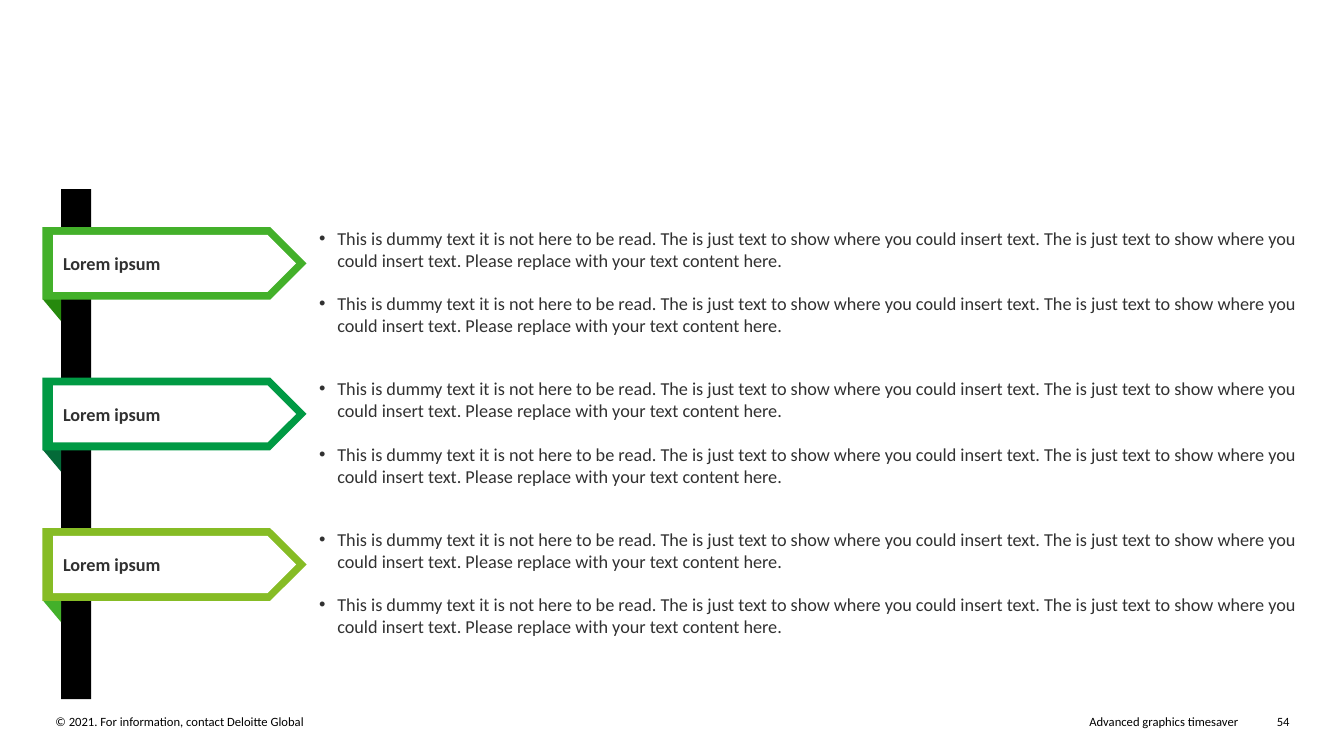
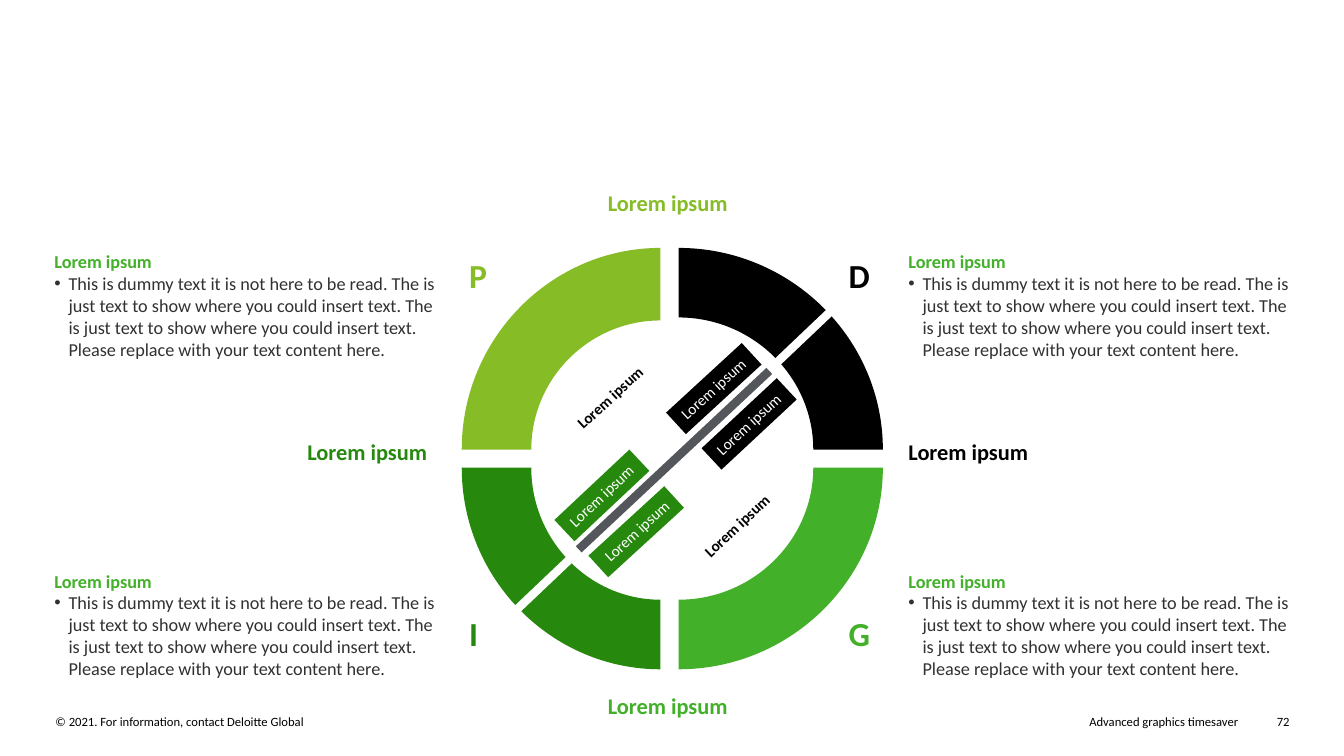
from lxml import etree
from pptx import Presentation
from pptx import util as u
from pptx.dml.color import RGBColor
from pptx.enum import shapes, text
from pptx.oxml.ns import qn

BLACK = RGBColor(0x00, 0x00, 0x00)
WHITE = RGBColor(0xFF, 0xFF, 0xFF)
INK = RGBColor(0x31, 0x31, 0x31)
GREY = RGBColor(0x53, 0x56, 0x5A)
LIME = RGBColor(0x86, 0xBC, 0x25)
GREEN = RGBColor(0x43, 0xB0, 0x2A)
EMERALD = RGBColor(0x00, 0x9A, 0x44)
FOREST = RGBColor(0x26, 0x89, 0x0D)
PINE = RGBColor(0x04, 0x6A, 0x38)

FONT = "Calibri"
LABEL = "Lorem ipsum"
BODY = (
    "This is dummy text it is not here to be read. "
    "The is just text to show where you could insert text. "
    "The is just text to show where you could insert text. "
    "Please replace with your text content here."
)
LEFT, CENTER, RIGHT = text.PP_ALIGN.LEFT, text.PP_ALIGN.CENTER, text.PP_ALIGN.RIGHT
TOP, MIDDLE = text.MSO_ANCHOR.TOP, text.MSO_ANCHOR.MIDDLE
GROW, FIXED = text.MSO_AUTO_SIZE.SHAPE_TO_FIT_TEXT, text.MSO_AUTO_SIZE.NONE
KIND = shapes.MSO_SHAPE

deck = Presentation()
deck.slide_width = u.Inches(13.33)
deck.slide_height = u.Inches(7.5)
CELL = deck.slide_height / 22.5


def draw(page, area, kind=None, colour=None, turn=0, inset=(0, 0), wrap=True,
         anchor=TOP, fit=GROW):
    place = [round(length * CELL) for length in area]
    if kind is None:
        box = page.shapes.add_textbox(*place)
    else:
        box = page.shapes.add_shape(kind, *place)
        box.shadow.inherit = False
        box.fill.solid()
        box.fill.fore_color.rgb = colour
        box.line.fill.background()
    box.rotation = turn
    frame = box.text_frame
    frame.margin_left = frame.margin_right = u.Inches(inset[0])
    frame.margin_top = frame.margin_bottom = u.Inches(inset[1])
    frame.word_wrap = wrap
    frame.vertical_anchor = anchor
    frame.auto_size = fit
    return box


def write(box, words, size, colour, bold=False, align=LEFT, hang=0, before=0):
    frame = box.text_frame
    para = frame.add_paragraph() if frame.text else frame.paragraphs[0]
    para.alignment = align
    if hang:
        props = para._p.get_or_add_pPr()
        props.set("marL", str(u.Inches(hang)))
        props.set("indent", str(-u.Inches(hang)))
        etree.SubElement(props, qn("a:buFont")).set("typeface", "Arial")
        etree.SubElement(props, qn("a:buChar")).set("char", "•")
    if before:
        para.space_before = u.Pt(before)
    span = para.add_run()
    span.text = words
    span.font.name = FONT
    span.font.size = u.Pt(size)
    span.font.bold = bold
    span.font.color.rgb = colour


pages = []
for number in ("54", "72"):
    page = deck.slides.add_slide(deck.slide_layouts[6])
    pages.append(page)
    for left, width, words, align in (
        (1.65, 17.58, "© 2021. For information, contact Deloitte Global", LEFT),
        (20.79, 16.05, "Advanced graphics timesaver", RIGHT),
        (37.35, 1.02, number, RIGHT),
    ):
        write(draw(page, (left, 21.24, width, 0.45)), words, 9, BLACK, align=align)
signpost, cycle = pages

draw(signpost, (1.82, 5.63, 0.89, 15.18), KIND.RECTANGLE, BLACK, fit=FIXED)
for row, (banner, fold) in enumerate(((GREEN, FOREST), (EMERALD, PINE), (LIME, GREEN))):
    top = 6.76 + row * 4.48
    draw(signpost, (0.9, top + 1.88, 1.29, 0.54), KIND.ISOSCELES_TRIANGLE, fold,
         turn=270, fit=FIXED)
    draw(signpost, (1.26, top, 7.86, 2.16), KIND.PENTAGON, banner, fit=FIXED)
    sign = draw(signpost, (1.58, top + 0.23, 7.23, 1.7), KIND.PENTAGON, WHITE,
                inset=(0.1, 0.05), anchor=MIDDLE, fit=FIXED)
    write(sign, LABEL, 13, INK, bold=True)
    points = draw(signpost, (9.5, top, 29.1, 3.27))
    for before in (0, 15.5):
        write(points, BODY, 13, INK, hang=0.18, before=before)

RING_X, RING_Y, HALF_GAP, BAND, BEND = 19.92, 13.65, 0.27, 2.07, 0.55
for across, down, reach, depth, colour in (
    (-1, 1, 5.91, BAND, FOREST),
    (-1, -1, 5.91, 2.16, LIME),
    (1, 1, 6.08, BAND, GREEN),
    (1, -1, 6.08, BAND, BLACK),
):
    arc = ((1, 0), (1, BEND), (BEND, 1), (0, 1))
    outer = [(reach * x, 6 * y) for x, y in arc]
    inner = [((reach - BAND) * x, (6 - depth) * y) for x, y in reversed(arc)]
    outline = [(round((RING_X + across * (HALF_GAP + x)) * CELL),
                round((RING_Y + down * (HALF_GAP + y)) * CELL)) for x, y in outer + inner]
    builder = cycle.shapes.build_freeform(*outline[0], scale=1.0)
    builder.add_line_segments(outline[1:], close=True)
    quarter = builder.convert_to_shape()
    sides = list(quarter._element.iter(qn("a:lnTo")))
    for first in (0, 4):
        curve = etree.Element(qn("a:cubicBezTo"))
        sides[first].addprevious(curve)
        for side in sides[first:first + 3]:
            curve.append(side[0])
            side.getparent().remove(side)
    quarter.shadow.inherit = False
    quarter.fill.solid()
    quarter.fill.fore_color.rgb = colour
    quarter.line.fill.background()

for ends, colour in (((15.21, 18.3, 24.81, 9.18), WHITE), ((17.22, 16.35, 22.89, 11.04), GREY)):
    divider = cycle.shapes.add_connector(
        shapes.MSO_CONNECTOR.STRAIGHT, *[round(length * CELL) for length in ends])
    divider.line.color.rgb = colour
    divider.line.width = u.Pt(6)
    etree.SubElement(divider._element.spPr, qn("a:effectLst"))

for left, top, turn in ((14.7, 11.4, 317.4), (18.48, 15.21, 316.8)):
    caption = draw(cycle, (left, top, 6.9, 0.87), turn=turn, inset=(0.1, 0.05))
    write(caption, LABEL, 11, BLACK, bold=True, align=CENTER)

for left, top, turn, colour, align in (
    (16.38, 14.31, 316.8, FOREST, LEFT),
    (19.71, 11.13, 317.4, BLACK, LEFT),
    (17.4, 15.39, 317.5, FOREST, RIGHT),
    (20.76, 12.18, 317, BLACK, LEFT),
):
    tag = draw(cycle, (left, top, 3.06, 0.87), KIND.RECTANGLE, colour, turn,
               inset=(0.1, 0.05), wrap=False)
    write(tag, LABEL, 11, WHITE, align=align)

for letter, left, top, width, colour in (
    ("P", 13.84, 7.47, 0.78, LIME),
    ("I", 13.84, 18.12, 0.51, FOREST),
    ("D", 25.13, 7.47, 0.87, BLACK),
    ("G", 25.13, 18.12, 0.87, GREEN),
):
    initial = draw(cycle, (left, top, width, 1.44), inset=(0.04, 0.04), wrap=False)
    write(initial, letter, 24, colour, bold=True)

for left, top, colour, align in (
    (27.03, 13.03, BLACK, LEFT),
    (9.08, 13.03, FOREST, RIGHT),
    (18.02, 5.64, LIME, RIGHT),
    (18.02, 20.61, GREEN, RIGHT),
):
    heading = draw(cycle, (left, top, 3.63, 0.81), wrap=False)
    write(heading, LABEL, 16, colour, bold=True, align=align)

for left, width in ((1.62, 11.46), (27.03, 11.31)):
    for top in (7.45, 16.95):
        card = draw(cycle, (left, top, width, 3.27), anchor=MIDDLE)
        write(card, LABEL, 13, GREEN, bold=True)
        write(card, BODY, 13, INK, hang=0.14)

deck.save("out.pptx")
